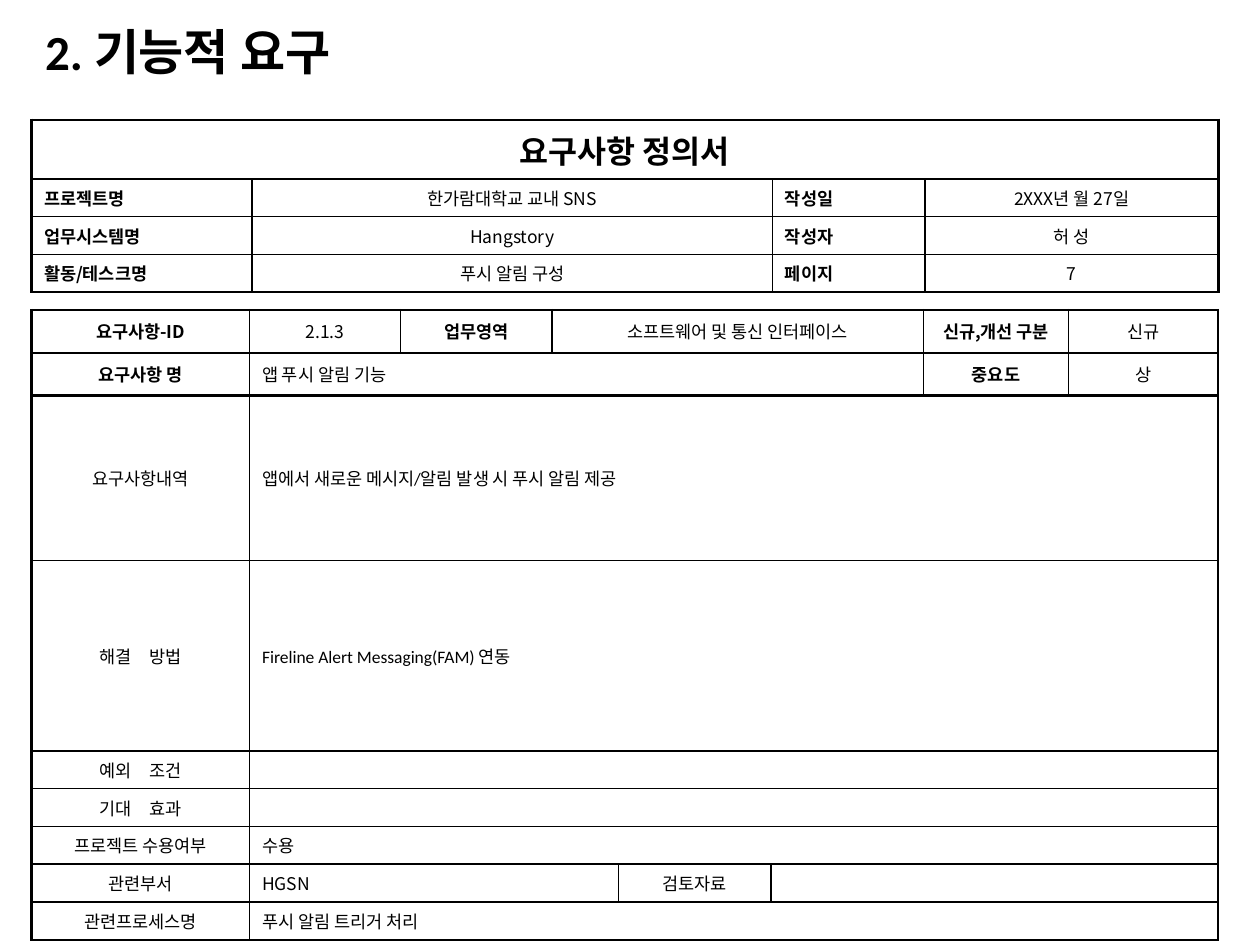
from dataclasses import dataclass

from lxml import etree
from pptx import Presentation
from pptx.dml.color import RGBColor
from pptx.enum.text import MSO_ANCHOR, PP_ALIGN
from pptx.oxml.ns import qn
from pptx.slide import Slide
from pptx.table import _Cell
from pptx.text.text import _Paragraph
from pptx.util import Inches, Pt

CENTER, LEFT, JUSTIFY = PP_ALIGN.CENTER, PP_ALIGN.LEFT, PP_ALIGN.JUSTIFY
MIDDLE, TOP = MSO_ANCHOR.MIDDLE, MSO_ANCHOR.TOP
BLACK = RGBColor(0, 0, 0)
KOREAN, LATIN = "Noto Sans CJK KR", "Calibri"
PLAIN_STYLE = "{2D5ABB26-0587-4C30-8999-92F81FD0307C}"
THIN, THICK = Pt(1), Pt(1.5)
LINE_HEIGHT = 0.3


@dataclass(frozen=True)
class Entry:
    text: str
    span: int = 1
    bold: bool = False
    align: PP_ALIGN = CENTER
    font: str = KOREAN
    size: float = 10
    anchor: MSO_ANCHOR = MIDDLE


@dataclass(frozen=True)
class Form:
    top: float
    columns: list[float]
    heights: list[float]
    thick_rules: set[int]
    rows: list[list[Entry]]


def heading(text: str) -> Entry:
    """Describe a bold centred label."""
    return Entry(text, bold=True)


def detail(text: str, span: int = 7, font: str = KOREAN) -> Entry:
    """Describe a left-aligned value."""
    return Entry(text, span, align=LEFT, font=font)


def project_row(label: str, value: str, side_label: str, side_value: str,
                value_font: str = KOREAN) -> list[Entry]:
    """Describe one row of project facts."""
    return [
        Entry(label, bold=True, align=JUSTIFY, anchor=TOP),
        Entry(value, font=value_font, anchor=TOP),
        Entry(side_label, bold=True, align=JUSTIFY, anchor=TOP),
        Entry(side_value, anchor=TOP),
    ]


REQUIREMENT = Form(
    2.46,
    [1.73, 1.2, 1.2, 0.53, 1.21, 1.21, 1.15, 1.19],
    [0.34, 0.34, 1.31, 1.51] + [LINE_HEIGHT] * 5,
    {0, 1, 2, 9},
    [
        [heading("요구사항-ID"), Entry("2.1.3"), heading("업무영역"),
         Entry("소프트웨어 및 통신 인터페이스", 3), heading("신규,개선 구분"), Entry("신규")],
        [heading("요구사항 명"), detail("앱 푸시 알림 기능", 5, LATIN),
         heading("중요도"), Entry("상")],
        [Entry("요구사항내역"),
         detail("앱에서 새로운 메시지/알림 발생 시 푸시 알림 제공", font=LATIN)],
        [Entry("해결　방법"), detail("Fireline Alert Messaging(FAM) 연동", font=LATIN)],
        [Entry("예외　조건"), detail("")],
        [Entry("기대　효과"), detail("")],
        [Entry("프로젝트 수용여부"), detail("수용")],
        [Entry("관련부서"), detail("HGSN", 3), Entry("검토자료"), detail("", 3)],
        [Entry("관련프로세스명"), detail("푸시 알림 트리거 처리", font=LATIN)],
    ],
)

PROJECT = Form(
    0.95,
    [1.75, 4.13, 1.21, 2.33],
    [0.47] + [LINE_HEIGHT] * 3,
    {0, 4},
    [
        [Entry("요구사항 정의서", 4, bold=True, size=18)],
        project_row("프로젝트명", "한가람대학교 교내 SNS", "작성일", "2XXX년 월 27일"),
        project_row("업무시스템명", "Hangstory", "작성자", "허 성"),
        project_row("활동/테스크명", "푸시 알림 구성", "페이지", "7", LATIN),
    ],
)


def write(paragraph: _Paragraph, entry: Entry) -> None:
    """Write an entry into a paragraph as one formatted run."""
    paragraph.alignment = entry.align
    if not entry.text:
        etree.SubElement(paragraph._p, qn("a:endParaRPr"), sz=str(int(entry.size * 100)))
        return
    run = paragraph.add_run()
    run.text = entry.text
    run.font.size = Pt(entry.size)
    run.font.bold = entry.bold
    run.font.name = entry.font
    run.font.color.rgb = BLACK
    etree.SubElement(run._r.get_or_add_rPr(), qn("a:ea"), typeface=KOREAN)


def set_space_before(paragraph: _Paragraph, percent: int) -> None:
    """Set the space before a paragraph as a share of its line."""
    spacing = etree.SubElement(paragraph._p.get_or_add_pPr(), qn("a:spcBef"))
    etree.SubElement(spacing, qn("a:spcPct"), val=str(percent * 1000))


def set_borders(cell: _Cell, widths: dict[str, int]) -> None:
    """Draw the given cell sides in black."""
    properties = cell._tc.get_or_add_tcPr()
    for position, (side, width) in enumerate(widths.items()):
        line = etree.Element(qn(f"a:ln{side}"), w=str(int(width)))
        fill = etree.SubElement(line, qn("a:solidFill"))
        etree.SubElement(fill, qn("a:srgbClr"), val=str(BLACK))
        properties.insert(position, line)


def add_form(slide: Slide, form: Form) -> None:
    """Draw a form as a table with heavier outer rules."""
    frame = slide.shapes.add_table(
        len(form.heights), len(form.columns), Inches(0.25), Inches(form.top),
        Inches(sum(form.columns)), Inches(sum(form.heights)))
    table = frame.table
    table.first_row = table.horz_banding = False
    table._tbl.tblPr.find(qn("a:tableStyleId")).text = PLAIN_STYLE
    for column, width in zip(table.columns, form.columns):
        column.width = Inches(width)
    for row, height in zip(table.rows, form.heights):
        row.height = Inches(height)
    for cell in table.iter_cells():
        cell.fill.background()

    for row_index, entries in enumerate(form.rows):
        start = 0
        for entry in entries:
            end = start + entry.span
            cell = table.cell(row_index, start)
            if entry.span > 1:
                cell.merge(table.cell(row_index, end - 1))
            cell.vertical_anchor = entry.anchor
            paragraph = cell.text_frame.paragraphs[0]
            set_space_before(paragraph, 20)
            write(paragraph, entry)
            set_borders(cell, {
                "L": THICK if start == 0 else THIN,
                "R": THICK if end == len(form.columns) else THIN,
                "T": THICK if row_index in form.thick_rules else THIN,
                "B": THICK if row_index + 1 in form.thick_rules else THIN,
            })
            start = end


def add_title(slide: Slide, text: str) -> None:
    """Add the slide title."""
    box = slide.shapes.add_textbox(Inches(0.26), Inches(0.21), Inches(5.36), Inches(0.44))
    frame = box.text_frame
    frame.word_wrap = True
    frame.vertical_anchor = MIDDLE
    paragraph = frame.paragraphs[0]
    paragraph.line_spacing = 0.9
    write(paragraph, Entry(text, bold=True, align=LEFT, font=LATIN, size=28))


def main() -> None:
    """Build the requirement slide."""
    presentation = Presentation()
    presentation.slide_width, presentation.slide_height = Inches(10), Inches(7.5)
    slide = presentation.slides.add_slide(presentation.slide_layouts[6])
    add_title(slide, "2. 기능적 요구")
    for form in (REQUIREMENT, PROJECT):
        add_form(slide, form)
    presentation.save("out.pptx")


if __name__ == "__main__":
    main()
